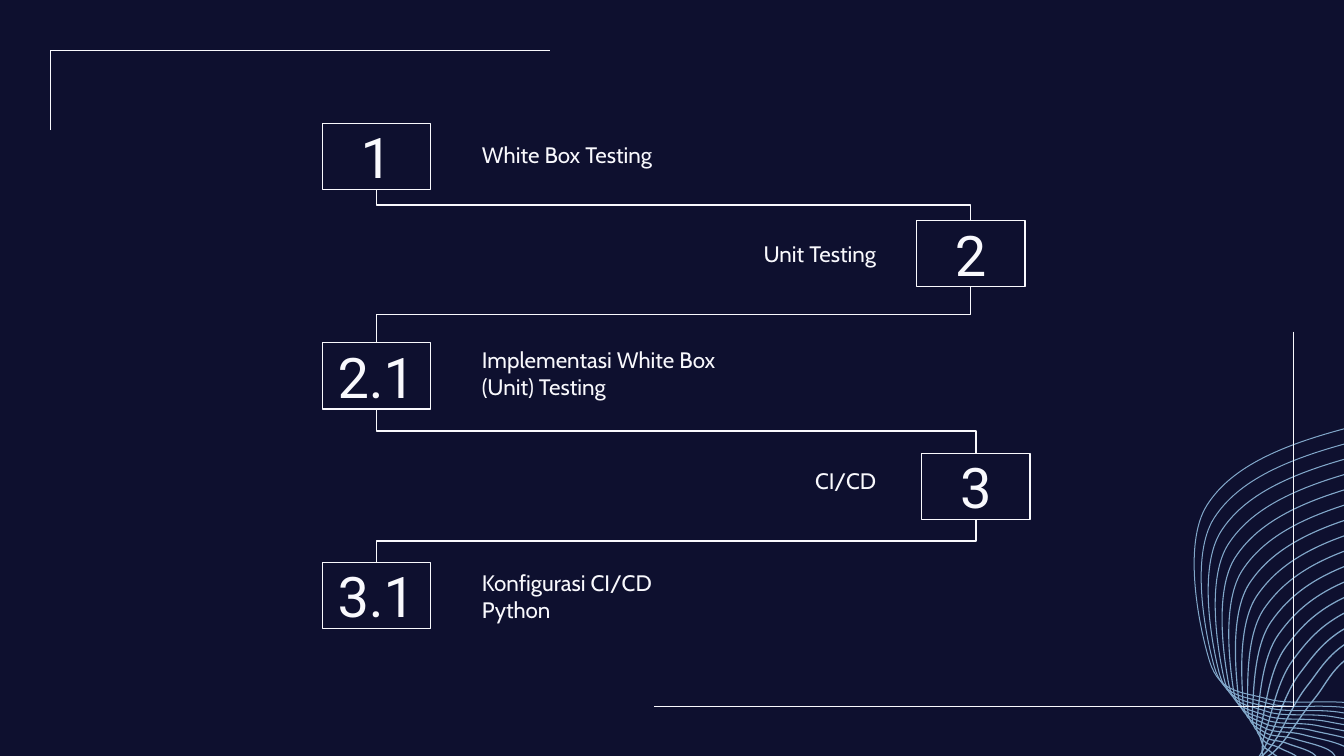
from collections import namedtuple
from lxml.etree import SubElement
from pptx import Presentation
from pptx.dml.color import RGBColor
from pptx.enum.shapes import MSO_CONNECTOR as Link, MSO_SHAPE as Preset
from pptx.enum.text import MSO_ANCHOR as Anchor, PP_ALIGN as Align
from pptx.oxml.ns import qn
from pptx.util import Cm, Pt

NAVY, WHITE, SKY = "0E102F", "F9F9FD", "81A7C9"
BOX_W, BOX_H = 2.05, 1.25
LABEL_W = 5.03
LEFT_LABEL, RIGHT_LABEL = 8.86, 11.78
RULE_WIDTH = 0.75

Step = namedtuple("Step", "number title left top label_left label_top")
STEPS = [
    Step("1", "White Box Testing", 6.09, 2.33, LEFT_LABEL, 2.29),
    Step("2", "Unit Testing", 17.32, 4.17, RIGHT_LABEL, 4.17),
    Step("2.1", "Implementasi White Box (Unit) Testing", 6.09, 6.48, LEFT_LABEL, 6.43),
    Step("3", "CI/CD", 17.42, 8.57, RIGHT_LABEL, 8.46),
    Step("3.1", "Konfigurasi CI/CD Python", 6.09, 10.63, LEFT_LABEL, 10.64),
]

CORNERS = [
    [(0.95, 2.46), (0.95, 0.95), (10.39, 0.95)],
    [(24.45, 6.27), (24.45, 13.35), (12.36, 13.35)],
]

WAVE_COUNT = 16
THIN_WAVE, THICK_WAVE = 0.54, 0.72
Knot = namedtuple("Knot", "outermost innermost")
WAVE_KNOTS = [
    Knot((30.58, 2.77), (27.18, 4.39)),
    Knot((31.8, 3.4), (28.27, 6.68)),
    Knot((32.51, 4.47), (30.1, 8)),
    Knot((32.61, 5.84), (30.68, 10.21)),
    Knot((32.03, 6.96), (28.88, 11.51)),
    Knot((31.42, 7.42), (27.51, 11.71)),
    Knot((25.7, 8.03), (25.63, 12.34)),
    Knot((22.81, 9.55), (24.84, 13.21)),
    Knot((22.86, 12.5), (24.21, 14.07)),
    Knot((23.95, 13.21), (23.83, 14.38)),
    Knot((25.7, 13.31), (23.42, 14.55)),
    Knot((27.89, 13.84), (22.89, 14.66)),
    Knot((27.97, 15.19), (22.3, 14.68)),
    Knot((24.1, 18.75), (20.57, 15.19)),
]


def color(hex_code):
    """Turn a hex string into a colour."""
    return RGBColor.from_string(hex_code)


def style_line(shape, hex_code, width):
    """Set the line colour and width of a shape or connector."""
    shape.line.color.rgb = color(hex_code)
    shape.line.width = Pt(width)


def make_hollow(shape, hex_code, width):
    """Leave only the line of a shape."""
    shape.shadow.inherit = False
    shape.fill.background()
    style_line(shape, hex_code, width)


def write(shape, words, font, size, align):
    """Put one run of text, centred vertically, into a shape."""
    frame = shape.text_frame
    frame.word_wrap = True
    frame.vertical_anchor = Anchor.MIDDLE
    frame.margin_left = frame.margin_right = Cm(0.25)
    frame.margin_top = frame.margin_bottom = Cm(0.25)
    line = frame.paragraphs[0]
    line.alignment = align
    run = line.add_run()
    run.text = words
    run.font.name = font
    run.font.size = Pt(size)
    run.font.color.rgb = color(WHITE)


def add_outline(slide, points, hex_code, width):
    """Draw an open, unfilled outline through points given in centimetres."""
    start, *others = [(Cm(x), Cm(y)) for x, y in points]
    builder = slide.shapes.build_freeform(*start)
    builder.add_line_segments(others, close=False)
    outline = builder.convert_to_shape()
    make_hollow(outline, hex_code, width)
    return outline


def blend(start, end, share):
    """Return the point that lies the given share of the way from start to end."""
    return tuple(a + share * (b - a) for a, b in zip(start, end))


def smooth_controls(knots):
    """Add two Bezier handles between knots, parallel to each knot's neighbours."""
    padded = [knots[0], *knots, knots[-1]]
    controls = [knots[0]]
    for before, start, end, after in zip(padded, padded[1:], padded[2:], padded[3:]):
        leaving = tuple(s + (e - b) / 6 for b, s, e in zip(before, start, end))
        arriving = tuple(e - (a - s) / 6 for s, e, a in zip(start, end, after))
        controls += [leaving, arriving, end]
    return controls


def add_curve(slide, knots, hex_code, width):
    """Draw a smooth line through knots, turning each three points into a curve."""
    curve = add_outline(slide, smooth_controls(knots), hex_code, width)
    track = next(curve._element.iter(qn("a:path")))
    straights = track.findall(qn("a:lnTo"))
    for first in range(0, len(straights), 3):
        bend = SubElement(track, qn("a:cubicBezTo"))
        for straight in straights[first:first + 3]:
            bend.append(straight[0])
            track.remove(straight)


def add_waves(slide):
    """Step evenly from the outermost wave to the innermost one."""
    for index in range(WAVE_COUNT):
        share = index / (WAVE_COUNT - 1)
        knots = [blend(knot.outermost, knot.innermost, share) for knot in WAVE_KNOTS]
        width = THIN_WAVE + share * (THICK_WAVE - THIN_WAVE)
        add_curve(slide, knots, SKY, width)


def add_label(slide, step):
    """Add a step's title, aligned away from the middle of the slide."""
    label = slide.shapes.add_textbox(
        Cm(step.label_left), Cm(step.label_top), Cm(LABEL_W), Cm(BOX_H))
    align = Align.LEFT if step.label_left == LEFT_LABEL else Align.RIGHT
    write(label, step.title, "Cabin", 12, align)


def add_number(slide, step):
    """Add a step's outlined number box."""
    box = slide.shapes.add_shape(
        Preset.RECTANGLE, Cm(step.left), Cm(step.top), Cm(BOX_W), Cm(BOX_H))
    make_hollow(box, WHITE, RULE_WIDTH)
    write(box, step.number, "Roboto", 30, Align.CENTER)


def add_link(slide, step, following):
    """Join the bottom of one box to the top of the next with a turned elbow."""
    drop = following.top - step.top - BOX_H
    reach = abs(following.left - step.left)
    middle_x = (step.left + following.left + BOX_W) / 2
    middle_y = (step.top + BOX_H + following.top) / 2
    link = slide.shapes.add_connector(
        Link.ELBOW,
        Cm(middle_x - drop / 2), Cm(middle_y - reach / 2),
        Cm(middle_x + drop / 2), Cm(middle_y + reach / 2),
    )
    style_line(link, WHITE, RULE_WIDTH)
    properties = link._element.spPr
    SubElement(properties, qn("a:effectLst"))
    frame = properties.find(qn("a:xfrm"))
    if following.left > step.left:
        frame.set("rot", "16200000")
        frame.set("flipH", "1")
    else:
        frame.set("rot", "5400000")


def main():
    """Build the slide and save it."""
    deck = Presentation()
    deck.slide_width, deck.slide_height = Cm(25.4), Cm(14.29)
    slide = deck.slides.add_slide(deck.slide_layouts[6])
    slide.background.fill.solid()
    slide.background.fill.fore_color.rgb = color(NAVY)

    add_waves(slide)
    for corner in CORNERS:
        add_outline(slide, corner, WHITE, RULE_WIDTH)
    for step in STEPS:
        add_label(slide, step)
        add_number(slide, step)
    for step, following in zip(STEPS, STEPS[1:]):
        add_link(slide, step, following)
    deck.save("out.pptx")


if __name__ == "__main__":
    main()
